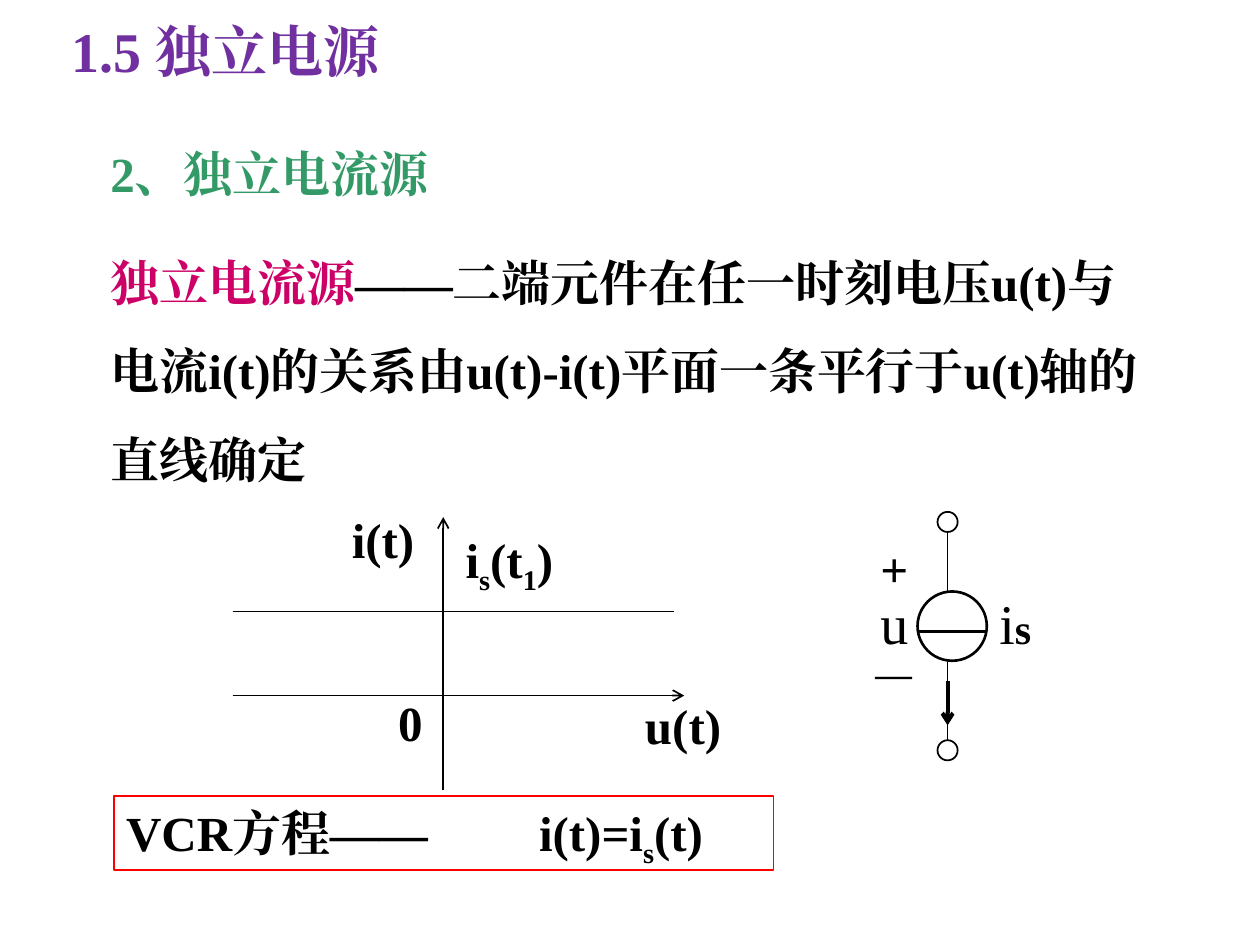
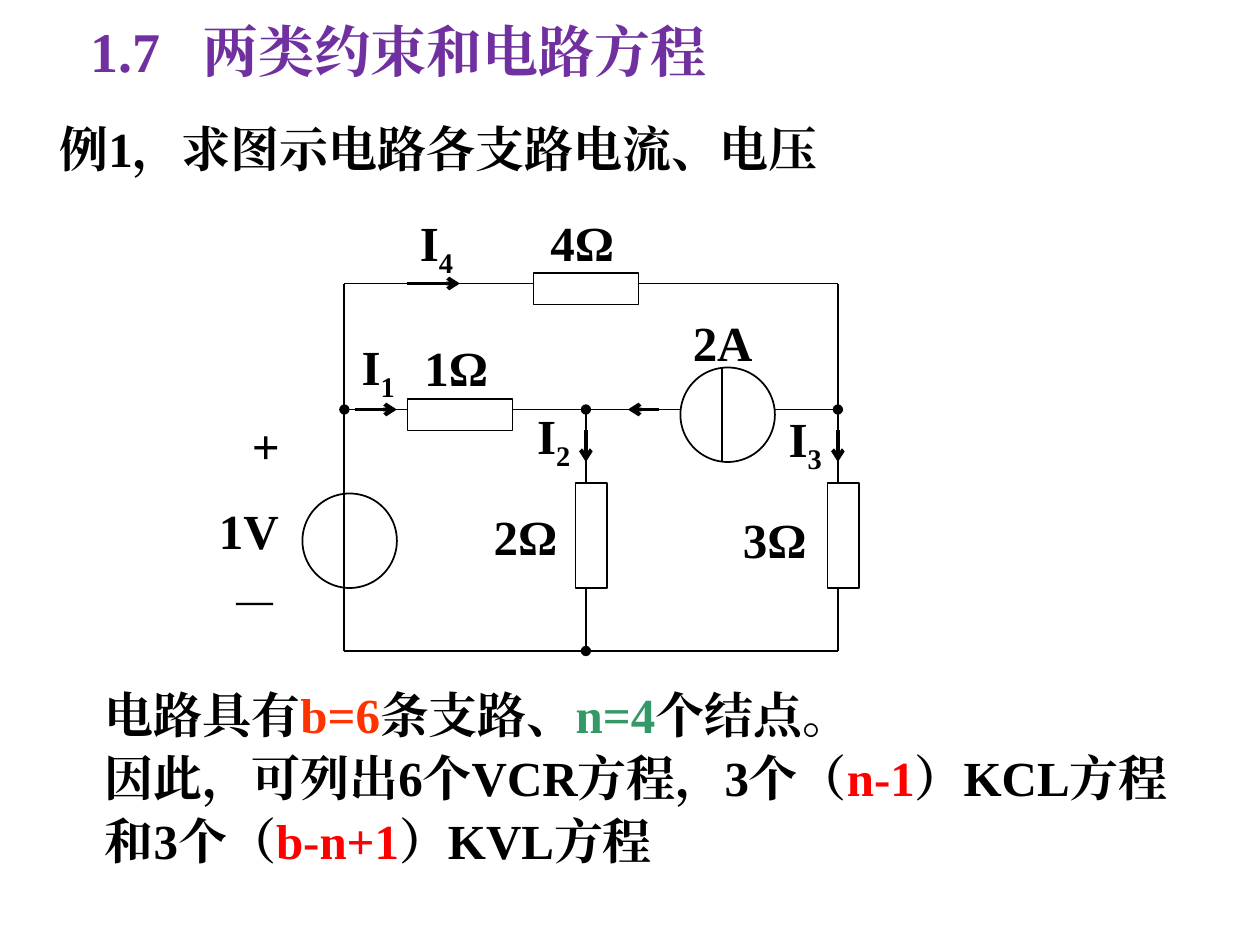
from lxml import etree
from pptx import Presentation
from pptx.dml.color import RGBColor
from pptx.enum import shapes, text
from pptx.oxml import ns
from pptx.util import Pt

FONT = "Times New Roman"
BLACK, PURPLE, GREEN = "000000", "7030A0", "339966"
MAGENTA, ORANGE, RED = "CC0066", "FF3300", "FF0000"
SUB = {"sub": True}
RECT, OVAL = shapes.MSO_SHAPE.RECTANGLE, shapes.MSO_SHAPE.OVAL


def put(page, place, *paragraphs, preset=None, line=BLACK, weight=1, size=28,
        color=BLACK, bold=True, align=None, spacing=None, tab=None, inset=True,
        anchor=text.MSO_ANCHOR.TOP):
    """Add a text box or an outlined preset shape.

    A paragraph is a list of runs; a run is a string or (string, format).
    """
    place = [Pt(length) for length in place]
    if preset is None:
        box = page.shapes.add_textbox(*place)
    else:
        box = page.shapes.add_shape(preset, *place)
        box.shadow.inherit = False
        box.fill.background()
        box.line.color.rgb = RGBColor.from_string(line)
        box.line.width = Pt(weight)
    frame = box.text_frame
    frame.word_wrap = True
    frame.vertical_anchor = anchor
    if not inset:
        frame.margin_left = frame.margin_right = 0
        frame.margin_top = frame.margin_bottom = 0
    for index, runs in enumerate(paragraphs):
        para = frame.add_paragraph() if index else frame.paragraphs[0]
        para.alignment = align or text.PP_ALIGN.LEFT
        if spacing:
            para.line_spacing = spacing
        if tab:
            stops = etree.SubElement(para._p.get_or_add_pPr(), ns.qn("a:tabLst"))
            etree.SubElement(stops, ns.qn("a:tab"), pos=str(Pt(tab)), algn="l")
        for run in runs:
            words, style = (run, {}) if isinstance(run, str) else run
            span = para.add_run()
            span.text = words
            font = span.font
            font.name = FONT
            font.size = Pt(style.get("size", size))
            font.bold = style.get("bold", bold)
            font.color.rgb = RGBColor.from_string(style.get("color", color))
            properties = font._element
            etree.SubElement(properties, ns.qn("a:ea"), typeface=FONT)
            if style.get("sub"):
                properties.set("baseline", "-25000")


def wire(page, ends, weight=1, head=None, tail=None):
    """Draw a straight line; head and tail name the end marks."""
    line = page.shapes.add_connector(
        shapes.MSO_CONNECTOR.STRAIGHT, *[Pt(length) for length in ends])
    line.line.color.rgb = RGBColor.from_string(BLACK)
    line.line.width = Pt(weight)
    outline = line.line._ln
    for name, mark in (("a:headEnd", head), ("a:tailEnd", tail)):
        if mark:
            etree.SubElement(outline, ns.qn(name), type=mark)
    etree.SubElement(line._element.spPr, ns.qn("a:effectLst"))


deck = Presentation()
deck.slide_width, deck.slide_height = Pt(720), Pt(540)
pages = []
for title, left, width in (("1.5 独立电源", 34, 441),
                           ("1.7\t两类约束和电路方程", 44.5, 573)):
    page = deck.slides.add_slide(deck.slide_layouts[6])
    put(page, (left, -16.5, width, 90), [title], size=32, color=PURPLE,
        tab=64, anchor=text.MSO_ANCHOR.MIDDLE)
    pages.append(page)
source_page, circuit_page = pages

# Slide 1: definition of the current source
put(source_page, (56, 78.5, 333, 41), ["2、独立电流源"], color=GREEN)
put(source_page, (56, 124, 613, 153),
    [("独立电流源", {"color": MAGENTA}),
     "——二端元件在任一时刻电压u(t)与电流i(t)的关系由u(t)-i(t)平面一条平行于u(t)轴的直线确定"],
    spacing=1.5)
put(source_page, (65, 455, 377, 42),
    ["VCR方程——\ti(t)=i", ("s", SUB), "(t)"], preset=RECT, line=RED, tab=236)

# Characteristic in the u-i plane
wire(source_page, (133, 397.5, 391, 397.5), tail="arrow")
wire(source_page, (253.3, 451.5, 253.3, 295.5), tail="arrow")
wire(source_page, (133, 349.4, 385, 349.4))
for left, top, width, runs in (
        (194, 287.5, 66, ["i(t)"]),
        (259, 299, 102, ["i", ("s", SUB), "(t", ("1", SUB), ")"]),
        (220.5, 392, 36, ["0"]),
        (361.5, 394, 72, ["u(t)"])):
    put(source_page, (left, top, width, 41), runs)

# Current source symbol
axis = 541.5
for left, top, runs, style in (
        (496, 304, ["+"], {}),
        (564, 332.5, ["i", ("s", {"size": 24, "bold": True})],
         {"size": 32, "bold": False}),
        (490, 366.5, ["－"], {}),
        (496, 332.5, ["u"], {"size": 32, "bold": False})):
    put(source_page, (left, top, 52, 50), runs, align=text.PP_ALIGN.JUSTIFY, **style)
put(source_page, (524.3, 338, 39.6, 39.6), preset=OVAL, weight=1.5)
for top in (292.5, 423):
    put(source_page, (axis - 5.75, top, 11.5, 11.5), preset=OVAL)
wire(source_page, (563.8, 360.7, 524.3, 360.7), weight=1.5)
wire(source_page, (axis, 389, axis, 414.5), weight=2.25, tail="arrow")
wire(source_page, (axis, 378, axis, 423))
wire(source_page, (axis, 304, axis, 338))

# Slide 2: problem and conclusion
put(circuit_page, (34, 67.5, 584, 34), ["例1，求图示电路各支路电流、电压"],
    align=text.PP_ALIGN.JUSTIFY, inset=False)
put(circuit_page, (52.8, 385, 623, 117),
    ["电路具有", ("b=6", {"color": ORANGE}), "条支路、",
     ("n=4", {"color": GREEN}), "个结点。"],
    ["因此，可列出6个VCR方程，3个（", ("n-1", {"color": RED}),
     "）KCL方程和3个（", ("b-n+1", {"color": RED}), "）KVL方程"],
    spacing=Pt(36))

# Circuit: three columns and three rows of nodes
west, middle, east = 196.8, 334.8, 478.8
north, centre, south = 162, 234, 372
for left, top in ((304.8, north - 6), (232.8, centre - 6)):
    put(circuit_page, (left, top, 60, 18), preset=RECT)
for column in (middle, east):
    put(circuit_page, (column - 6, 276, 18, 60), preset=RECT)
for left, top in ((172.8, 282), (388.8, 210)):
    put(circuit_page, (left, top, 54, 54), preset=OVAL)
for ends in ((west, north, west, south), (west, north, 304.8, north),
             (292.8, centre, 388.8, centre), (364.8, north, east, north),
             (east, north, east, 276), (west, south, east, south),
             (east, 336, east, south), (412.8, 210, 412.8, 264)):
    wire(circuit_page, ends)
wire(circuit_page, (west, centre, 232.8, centre), head="oval")
wire(circuit_page, (442.8, centre, east, centre), tail="oval")
wire(circuit_page, (middle, centre, middle, 276), head="oval")
wire(circuit_page, (middle, 336, middle, south), tail="oval")
for ends in ((232.8, north, 262.8, north), (376.8, centre, 358.8, centre),
             (east, 246, east, 264), (middle, 246, middle, 264),
             (202.8, centre, 226.8, centre)):
    wire(circuit_page, ends, weight=2.25, tail="arrow")

for label, left, top in (("1V", 118, 282.5), ("2A", 388.8, 175),
                         ("3Ω", 417.5, 287.5), ("2Ω", 275, 286),
                         ("4Ω", 307.5, 118), ("1Ω", 235.5, 189.5),
                         ("－", 124.5, 324), ("+", 136.8, 234)):
    put(circuit_page, (left, top, 66, 41), [label])
for branch, left, top in (("4", 232.8, 118), ("2", 299.8, 228),
                          ("1", 199.5, 188.5), ("3", 443.5, 229.8)):
    put(circuit_page, (left, top, 48, 41), ["I", (branch, SUB)])

deck.save("out.pptx")
